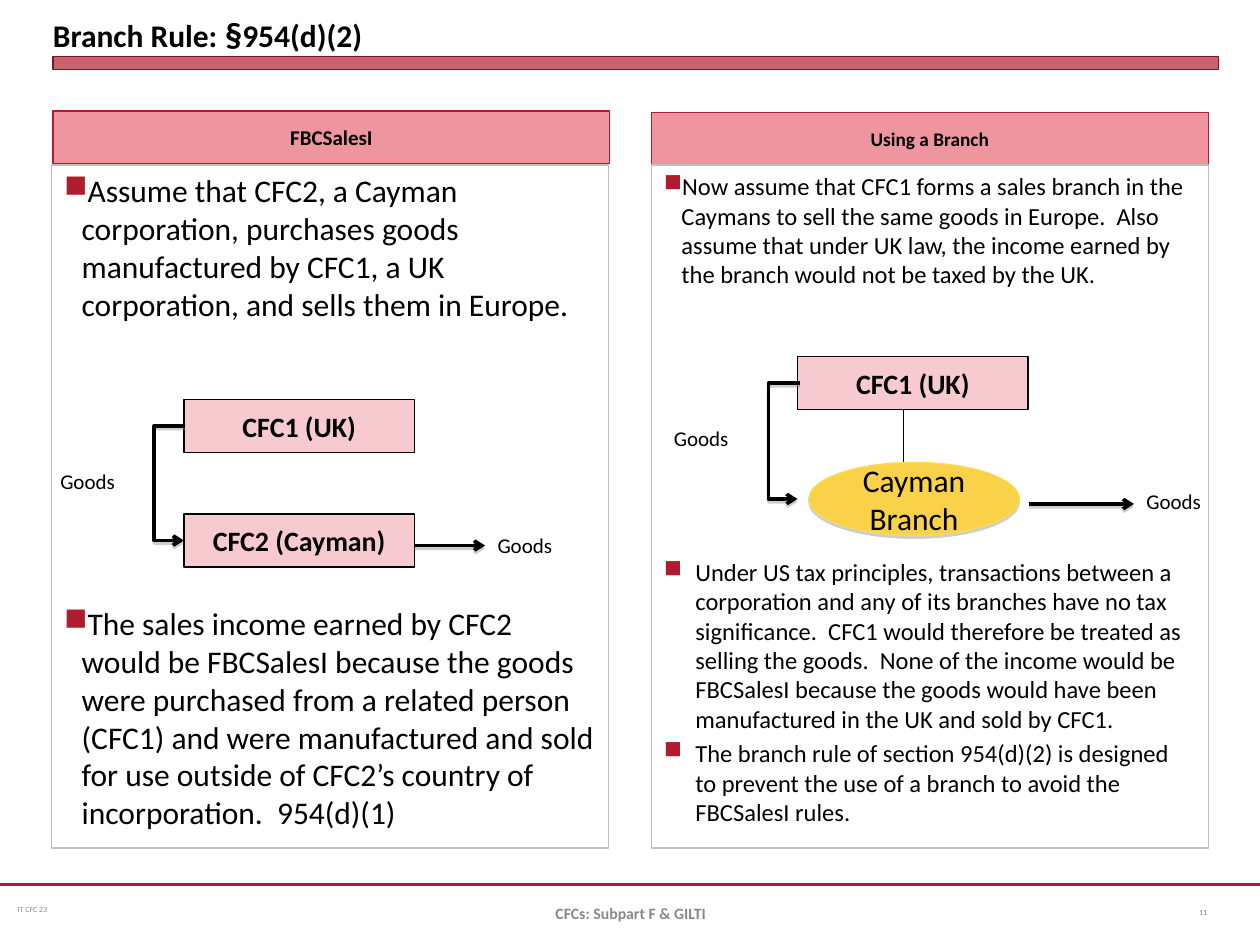
from lxml.etree import SubElement
from pptx import Presentation
from pptx.dml.color import RGBColor
from pptx.enum.shapes import MSO_CONNECTOR as LINK, MSO_SHAPE as SHAPE
from pptx.enum.text import MSO_ANCHOR as ANCHOR, PP_ALIGN as ALIGN
from pptx.oxml import parse_xml
from pptx.oxml.ns import nsdecls, qn
from pptx.util import Inches, Pt

rgb = RGBColor.from_string
CRIMSON, BLACK, GREY = "B01C2E", "000000", "898989"
SHADOW = (f'<a:outerShdw {nsdecls("a")} blurRad="0" dist="20320" dir="5400000">'
          '<a:srgbClr val="808080"><a:alpha val="38000"/></a:srgbClr></a:outerShdw>')

prs = Presentation()
prs.slide_width, prs.slide_height = Inches(10), Inches(7.5)
slide = prs.slides.add_slide(prs.slide_layouts[6])
shapes = slide.shapes


def write(paragraph, text, size, bold=False, color=BLACK):
    """Append one run to the paragraph."""
    run = paragraph.add_run()
    run.text = text
    run.font.name, run.font.size, run.font.bold = "Calibri", Pt(size), bold
    run.font.color.rgb = rgb(color)


def add_box(kind, at, fill, outline):
    box = shapes.add_shape(kind, *map(Inches, at))
    box.shadow.inherit = False
    box.fill.solid()
    box.fill.fore_color.rgb = rgb(fill)
    box.line.color.rgb = rgb(outline)
    box.line.width = Pt(0.75)
    box.text_frame.vertical_anchor = ANCHOR.MIDDLE
    box.text_frame.paragraphs[0].alignment = ALIGN.CENTER
    return box


# Title bar
bar = add_box(SHAPE.RECTANGLE, (0.42, 0.45, 9.25, 0.1), CRIMSON, "821522")
bar.line.width = Pt(0)
bar_color = bar.fill._xPr.find(qn("a:solidFill"))[0]
SubElement(bar_color, qn("a:alpha")).set("val", "69000")

# Column headings
for heading, left, top, size in [("FBCSalesI", 0.42, 0.88, 12),
                                 ("Using a Branch", 5.17, 0.89, 11)]:
    box = add_box(SHAPE.RECTANGLE, (left, top, 4.42, 0.42), "EE95A0", CRIMSON)
    write(box.text_frame.paragraphs[0], heading, size, True)

# Column bodies: left, text size, then (indent, space before, text) per bullet
columns = [
    (0.41, 18, [
        (0.14, 0, "Assume that CFC2, a Cayman corporation, purchases goods "
                  "manufactured by CFC1, a UK corporation, and sells them in Europe."),
        (0.14, 161, "The sales income earned by CFC2 would be FBCSalesI because the "
                    "goods were purchased from a related person (CFC1) and were "
                    "manufactured and sold for use outside of CFC2’s country of "
                    "incorporation.  954(d)(1)"),
    ]),
    (5.17, 14, [
        (0.14, 0, "Now assume that CFC1 forms a sales branch in the Caymans to sell "
                  "the same goods in Europe.  Also assume that under UK law, the income "
                  "earned by the branch would not be taxed by the UK."),
        (0.25, 153, "Under US tax principles, transactions between a corporation and "
                    "any of its branches have no tax significance.  CFC1 would therefore "
                    "be treated as selling the goods.  None of the income would be "
                    "FBCSalesI because the goods would have been manufactured in the UK "
                    "and sold by CFC1."),
        (0.25, 2.8, "The branch rule of section 954(d)(2) is designed to prevent the "
                    "use of a branch to avoid the FBCSalesI rules."),
    ]),
]
for left, size, bullets in columns:
    frame = add_box(SHAPE.RECTANGLE, (left, 1.31, 4.42, 5.42), "FFFFFF", "C0C0C0").text_frame
    frame.vertical_anchor = ANCHOR.TOP
    for number, (indent, gap, text) in enumerate(bullets):
        paragraph = frame.add_paragraph() if number else frame.paragraphs[0]
        paragraph.alignment = ALIGN.LEFT
        if number:
            paragraph.space_before = Pt(gap)
        props = paragraph._p.get_or_add_pPr()
        props.set("marL", str(Inches(indent)))
        props.set("indent", str(-Inches(indent)))
        bullet_color = SubElement(props, qn("a:buClr"))
        SubElement(bullet_color, qn("a:srgbClr")).set("val", CRIMSON)
        SubElement(props, qn("a:buChar")).set("char", "■")
        write(paragraph, text, size)

# Entities of the two diagrams
for entity, left, top in [("CFC1 (UK)", 1.46, 3.17), ("CFC2 (Cayman)", 1.46, 4.08),
                          ("CFC1 (UK)", 6.33, 2.83)]:
    box = add_box(SHAPE.RECTANGLE, (left, top, 1.83, 0.42), "F7CAD0", BLACK)
    box.text_frame.word_wrap = False
    write(box.text_frame.paragraphs[0], entity, 16, True)

# Lines and goods flows: kind, from, to, colour, width, is a flow
elbow_reach = 0.25
for kind, start, end, color, width, is_flow in [
    (LINK.STRAIGHT, (0, 7.02), (10, 7.02), CRIMSON, 1.25, False),
    (LINK.STRAIGHT, (7.17, 3.25), (7.17, 3.75), BLACK, 0.75, False),
    (LINK.ELBOW, (1.47, 3.38), (1.46, 4.29), BLACK, 2, True),
    (LINK.STRAIGHT, (3.29, 4.33), (3.85, 4.33), BLACK, 2, True),
    (LINK.ELBOW, (6.35, 3.04), (6.33, 3.96), BLACK, 2, True),
    (LINK.STRAIGHT, (8.17, 4), (9, 4), BLACK, 2, True),
]:
    link = shapes.add_connector(kind, *map(Inches, start + end))
    link.line.color.rgb = rgb(color)
    link.line.width = Pt(width)
    props = link._element.spPr
    effects = SubElement(props, qn("a:effectLst"))
    if is_flow:
        SubElement(props.find(qn("a:ln")), qn("a:tailEnd")).set("type", "arrow")
        effects.append(parse_xml(SHADOW))
    if kind == LINK.ELBOW:
        bend = round(elbow_reach / (start[0] - end[0]) * 100000)
        guides = props.find(qn("a:prstGeom")).get_or_add_avLst()
        guide = SubElement(guides, qn("a:gd"))
        guide.set("name", "adj1")
        guide.set("fmla", f"val {bend}")

branch = add_box(SHAPE.OVAL, (6.42, 3.67, 1.67, 0.58), "FAD24A", "FADD4D")
branch._element.spPr.find(qn("a:effectLst")).append(parse_xml(SHADOW))
write(branch.text_frame.paragraphs[0], "Cayman Branch", 18)

# Goods labels
for left, top in [(0.38, 3.67), (3.85, 4.18), (5.25, 3.33), (9, 3.83)]:
    label = shapes.add_textbox(*map(Inches, (left, top, 0.75, 0.3))).text_frame
    label.word_wrap = True
    write(label.paragraphs[0], "Goods", 12)

# Title
title = shapes.add_textbox(*map(Inches, (0.42, 0, 9.25, 0.43))).text_frame
title.word_wrap = True
title.vertical_anchor = ANCHOR.BOTTOM
title.margin_left = title.margin_right = title.margin_top = title.margin_bottom = 0
for text, size in [("Branch Rule: ", 18), ("§", 20), ("954(d)(2)", 18)]:
    write(title.paragraphs[0], text, size, True)

# Footer
for text, at, size, bold, color, align, inset in [
    ("IT CFC 23", (0.08, 7.02, 2.58, 0.4), 4.5, False, GREY, ALIGN.LEFT, 0.06),
    ("CFCs: Subpart F & GILTI", (3.42, 7.05, 3.17, 0.4), 9, True, GREY, ALIGN.CENTER, 0.1),
    ("11", (9.42, 7.04, 0.5, 0.4), 4.5, False, "808080", ALIGN.LEFT, 0.1),
]:
    footer = shapes.add_textbox(*map(Inches, at)).text_frame
    footer.word_wrap = True
    footer.vertical_anchor = ANCHOR.MIDDLE
    footer.margin_left = footer.margin_right = Inches(inset)
    footer.paragraphs[0].alignment = align
    write(footer.paragraphs[0], text, size, bold, color)

prs.save("out.pptx")
